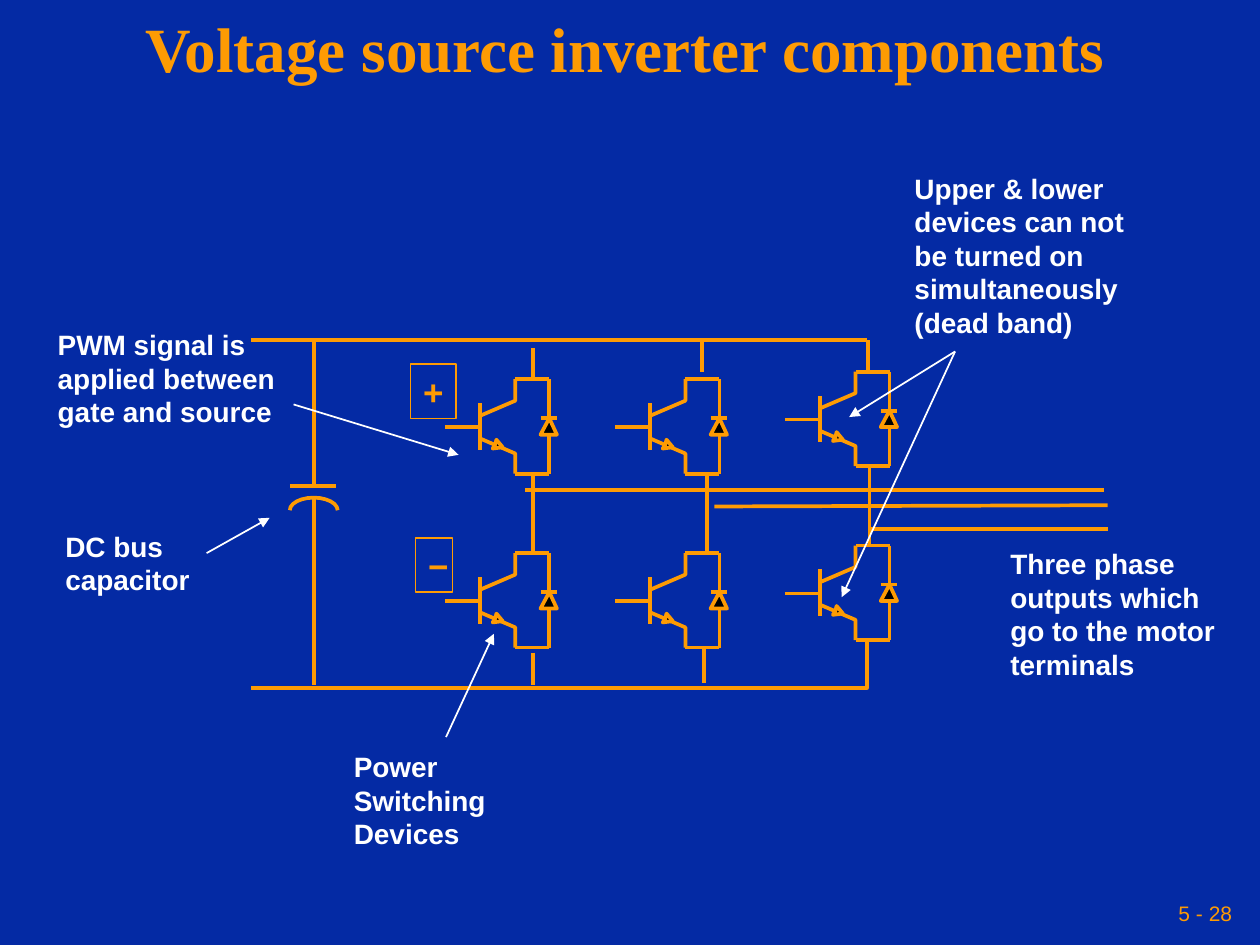
import math
from dataclasses import dataclass

import pptx
import pptx.dml.color
import pptx.enum.shapes
import pptx.enum.text
import pptx.oxml
import pptx.util
from pptx.util import Inches

COLORS = {"background": "042AA4", "circuit": "FE9B03", "note": "FFFFFF", "diode": "000000"}
ALIGN = pptx.enum.text.PP_ALIGN
ANCHOR = pptx.enum.text.MSO_ANCHOR
FIT = pptx.enum.text.MSO_AUTO_SIZE.SHAPE_TO_FIT_TEXT
Point = tuple[float, float]
Box = tuple[float, float, float, float]

NOTE_FONT = {"name": "Arial", "size": pptx.util.Pt(16), "bold": True}
SIGN_FONT = {"name": "Arial", "size": pptx.util.Pt(20), "bold": True}
TITLE_FONT = {"name": "Times New Roman", "size": pptx.util.Pt(36), "bold": True}
NUMBER_FONT = {"name": "Arial", "size": pptx.util.Pt(12), "bold": False}
GROWING = {"word_wrap": False, "auto_size": FIT, "vertical_anchor": ANCHOR.TOP,
           "margin_left": Inches(0.1), "margin_right": Inches(0.1),
           "margin_top": Inches(0.05), "margin_bottom": Inches(0.05)}
CENTERED = {"word_wrap": True, "vertical_anchor": ANCHOR.MIDDLE,
            "margin_left": Inches(0.05), "margin_right": Inches(0.05),
            "margin_top": Inches(0.05), "margin_bottom": Inches(0.05)}


@dataclass
class Note:
    box: Box
    lines: list[str]
    wrap: bool = False


@dataclass
class Wire:
    start: Point
    end: Point


NOTES = [
    Note((2.71, 5.9, 1.25, 0.9), ["Power", "Switching", "Devices"]),
    Note((7.92, 4.29, 2.08, 1.17),
         ["Three phase", "outputs which", "go to the motor", "terminals"], True),
    Note((7.16, 1.31, 1.87, 1.43),
         ["Upper & lower", "devices can not", "be turned on", "simultaneously", "(dead band)"]),
    Note((0.36, 2.55, 1.93, 0.9), ["PWM signal is", "applied between", "gate and source"]),
    Note((0.42, 4.15, 1.19, 0.63), ["DC bus", "capacitor"]),
]
GATE_SIGNS = [Note((3.26, 2.89, 0.36, 0.43), ["+"]), Note((3.3, 4.27, 0.29, 0.43), ["−"])]

TRANSISTOR_WIRES = [
    Wire((0, 0), (0.28, 0)),
    Wire((0.28, 0.18), (0.28, -0.19)),
    Wire((0.83, 0.37), (0.83, -0.38)),
    Wire((0.76, -0.07), (0.89, -0.07)),
    Wire((0.83, 0.37), (0.56, 0.37)),
    Wire((0.83, -0.38), (0.56, -0.38)),
]
COLLECTOR = [(0.28, -0.09), (0.56, -0.21), (0.56, -0.38)]
EMITTER = [(0.28, 0.09), (0.56, 0.21), (0.56, 0.37)]
EMITTER_ARROW = [(0.4, 0.14), (0.41, 0.1), (0.46, 0.16), (0.38, 0.17)]
DIODE = [(0.76, 0.06), (0.83, -0.07), (0.89, 0.06)]

LEG_LEFTS = [3.53, 4.88, 6.23]
LEG_RISES = [0, 0, 0.06]
ROW_TOPS = [3.39, 4.77]

CIRCUIT_WIRES = [
    Wire((4.23, 4.39), (4.23, 3.77)),
    Wire((5.61, 4.39), (5.61, 3.76)),
    Wire((6.9, 4.33), (6.9, 3.7)),
    Wire((4.23, 3.01), (4.23, 2.76)),
    Wire((5.57, 2.95), (5.57, 2.7)),
    Wire((6.89, 2.95), (6.89, 2.7)),
    Wire((4.23, 5.18), (4.23, 5.44)),
    Wire((5.59, 5.15), (5.59, 5.42)),
    Wire((6.88, 2.7), (1.99, 2.7)),
    Wire((4.17, 3.89), (8.76, 3.89)),
    Wire((5.67, 4.02), (8.79, 4.01)),
    Wire((6.9, 4.2), (8.79, 4.2)),
    Wire((2.49, 3.86), (2.49, 2.71)),
    Wire((2.3, 3.86), (2.67, 3.86)),
    Wire((2.49, 3.95), (2.49, 5.44)),
]
LOWER_BUS = [(6.88, 5.09), (6.88, 5.46), (1.99, 5.46)]
POINTERS = [
    Wire((7.58, 2.79), (6.74, 3.31)),
    Wire((7.58, 2.79), (6.68, 4.74)),
    Wire((2.33, 3.21), (3.64, 3.61)),
    Wire((1.64, 4.39), (2.14, 4.11)),
    Wire((3.54, 5.85), (3.92, 5.03)),
]


def rgb(part: str) -> pptx.dml.color.RGBColor:
    return pptx.dml.color.RGBColor.from_string(COLORS[part])


def apply(target, values: dict) -> None:
    for name, value in values.items():
        setattr(target, name, value)


def style_line(line, part: str, width: float) -> None:
    line.color.rgb = rgb(part)
    line.width = pptx.util.Pt(width)


def write(shape, lines: list[str], frame_values: dict, font_values: dict,
          part: str, paragraph_values: dict) -> None:
    frame = shape.text_frame
    frame.text = "\n".join(lines)
    apply(frame, frame_values)
    for paragraph in frame.paragraphs:
        apply(paragraph, paragraph_values)
        apply(paragraph.font, font_values)
        paragraph.font.color.rgb = rgb(part)


def draw_text(slide, box: Box, *formatting) -> None:
    write(slide.shapes.add_textbox(*map(Inches, box)), *formatting)


def draw_wire(slide, wire: Wire, part: str = "circuit", width: float = 2.13,
              arrow: bool = False) -> None:
    connector = slide.shapes.add_connector(
        pptx.enum.shapes.MSO_CONNECTOR.STRAIGHT, *map(Inches, wire.start + wire.end))
    style_line(connector.line, part, width)
    properties = connector._element.spPr
    if arrow:
        head = pptx.oxml.ns.qn("a:tailEnd")
        properties.find(pptx.oxml.ns.qn("a:ln")).makeelement
        end = properties.makeelement(head, {"type": "triangle"})
        properties.find(pptx.oxml.ns.qn("a:ln")).append(end)
    properties.append(properties.makeelement(pptx.oxml.ns.qn("a:effectLst"), {}))


def draw_outline(slide, points: list[Point], closed: bool = False) -> None:
    corners = [(Inches(x), Inches(y)) for x, y in points]
    builder = slide.shapes.build_freeform(*corners[0])
    builder.add_line_segments(corners[1:], close=closed)
    outline = builder.convert_to_shape()
    outline.shadow.inherit = False
    style_line(outline.line, "circuit", 2.13)
    if closed:
        outline.fill.solid()
        outline.fill.fore_color.rgb = rgb("diode")
    else:
        outline.fill.background()


def draw_transistor(slide, left: float, top: float) -> None:
    def place(point: Point) -> Point:
        return left + point[0], top + point[1]

    for wire in TRANSISTOR_WIRES:
        draw_wire(slide, Wire(place(wire.start), place(wire.end)))
    for points, closed in [(COLLECTOR, False), (EMITTER, False),
                           (EMITTER_ARROW, True), (DIODE, True)]:
        draw_outline(slide, [place(point) for point in points], closed)


def draw_sign(slide, sign: Note) -> None:
    frame = slide.shapes.add_shape(
        pptx.enum.shapes.MSO_SHAPE.RECTANGLE, *map(Inches, sign.box))
    frame.shadow.inherit = False
    frame.fill.background()
    style_line(frame.line, "circuit", 0.75)
    write(frame, sign.lines, GROWING, SIGN_FONT, "circuit", {"alignment": ALIGN.LEFT})


def main() -> None:
    deck = pptx.Presentation()
    apply(deck, {"slide_width": Inches(10), "slide_height": Inches(7.5)})
    slide = deck.slides.add_slide(deck.slide_layouts[6])
    slide.background.fill.solid()
    slide.background.fill.fore_color.rgb = rgb("background")

    draw_text(slide, (6.83, 7.08, 3, 0.33), ["5 - 28"], CENTERED | {"word_wrap": False},
              NUMBER_FONT, "circuit", {"alignment": ALIGN.RIGHT})
    for left, rise in zip(LEG_LEFTS, LEG_RISES):
        for top in ROW_TOPS:
            draw_transistor(slide, left, top - rise)
    for wire in CIRCUIT_WIRES:
        draw_wire(slide, wire)
    draw_outline(slide, LOWER_BUS)
    angles = [math.radians(degrees) for degrees in range(180, -1, -15)]
    draw_outline(slide, [(2.49 + 0.19 * math.cos(a), 4.05 - 0.1 * math.sin(a)) for a in angles])
    for sign in GATE_SIGNS:
        draw_sign(slide, sign)
    for pointer in POINTERS:
        draw_wire(slide, pointer, "note", 1, True)
    for note in NOTES:
        draw_text(slide, note.box, note.lines, GROWING | {"word_wrap": note.wrap},
                  NOTE_FONT, "note", {"alignment": ALIGN.LEFT})
    draw_text(slide, (0, 0, 9.92, 0.83), ["Voltage source inverter components"], CENTERED,
              TITLE_FONT, "circuit", {"alignment": ALIGN.CENTER, "line_spacing": 0.9})
    deck.save("out.pptx")


if __name__ == "__main__":
    main()
